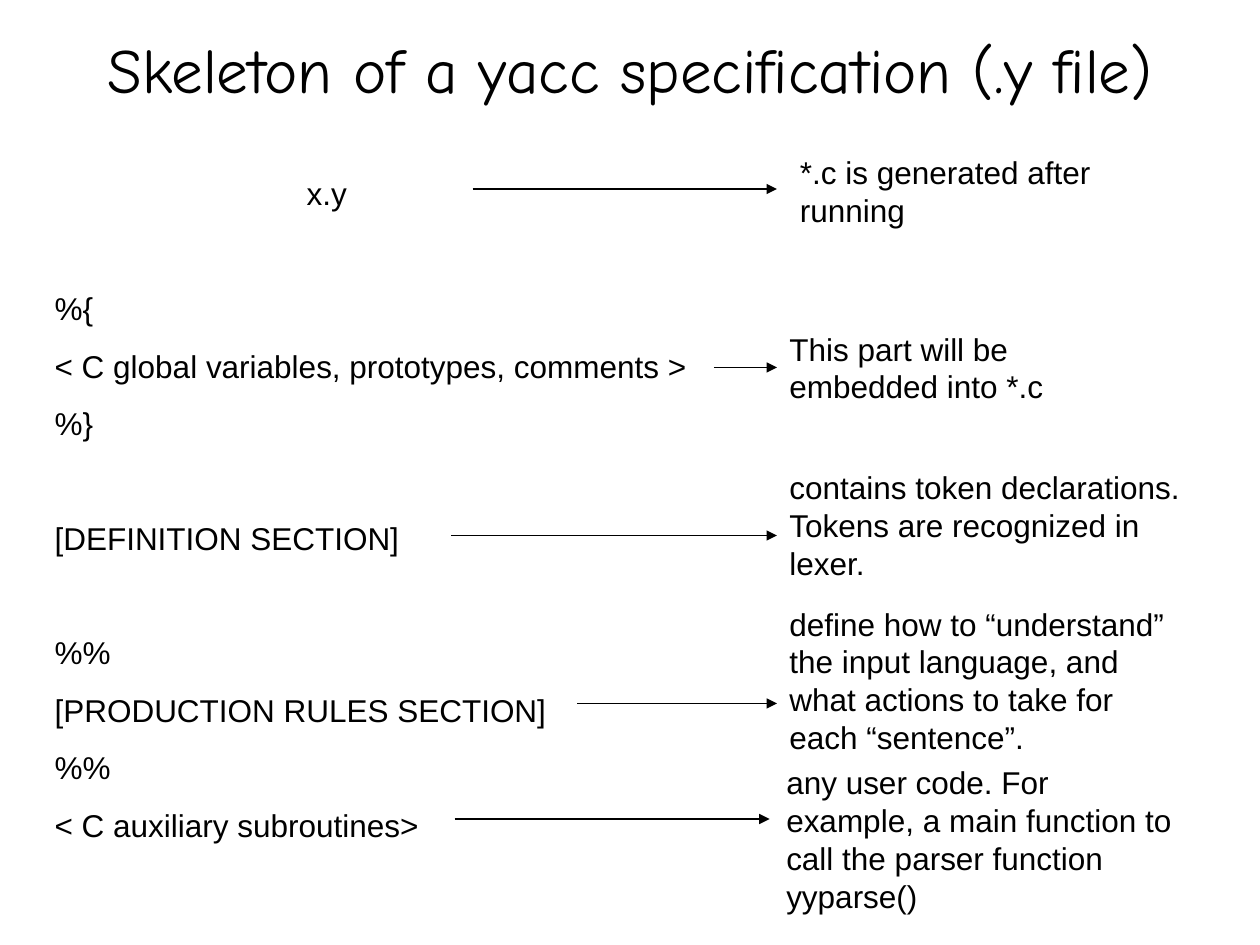
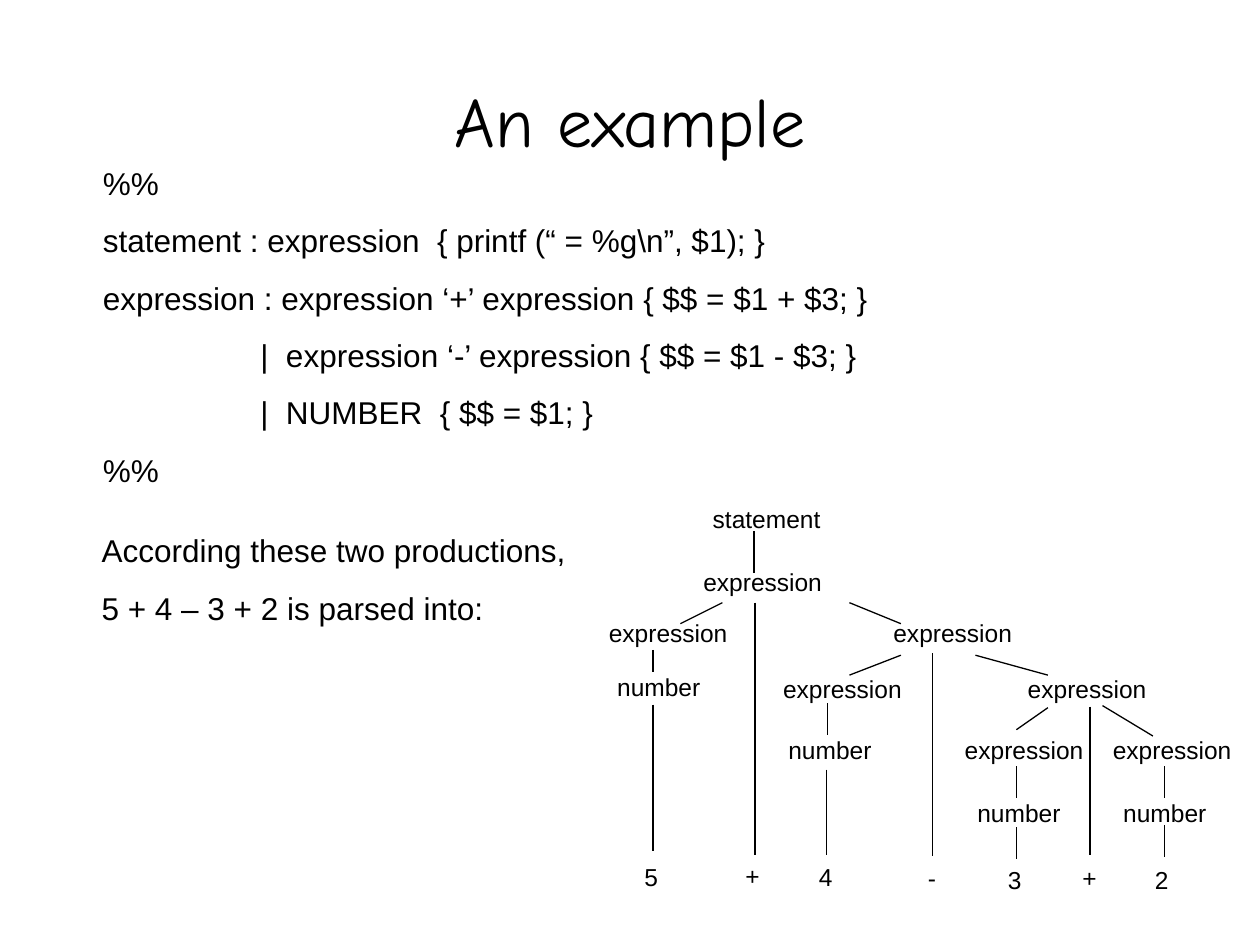
from typing import NamedTuple

from pptx import Presentation
from pptx.dml.color import RGBColor
from pptx.enum.shapes import MSO_CONNECTOR
from pptx.enum.text import MSO_ANCHOR, MSO_AUTO_SIZE, PP_ALIGN
from pptx.oxml.ns import qn
from pptx.util import Inches, Pt
from lxml import etree

BLACK = RGBColor(0x00, 0x00, 0x00)
WHITE = RGBColor(0xFF, 0xFF, 0xFF)
LINE = MSO_CONNECTOR.STRAIGHT
FIT = MSO_AUTO_SIZE.SHAPE_TO_FIT_TEXT
FIXED = MSO_AUTO_SIZE.NONE
MIDDLE = MSO_ANCHOR.MIDDLE
LEFT, CENTER = PP_ALIGN.LEFT, PP_ALIGN.CENTER
LEFT_SIDE = 1

WIDE, HIGH = Inches(10), Inches(7.5)
COLS, ROWS = 120, 90
BLANK = 44


class Box(NamedTuple):
    """A box in columns and rows of the grid."""
    left: float
    top: float
    cols: float
    rows: float


class Style(NamedTuple):
    """The look of a paragraph."""
    font: str
    size: float
    before: float
    align: PP_ALIGN = LEFT


class Item(NamedTuple):
    """A line of a list, with its own indent or gap above."""
    text: str
    indent: float = 0
    before: float | None = None


class Note(NamedTuple):
    """A remark and the arrow that leads to it."""
    text: str
    box: Box
    start: float
    tip: float
    row: float


class Node(NamedTuple):
    """A word of the parse tree."""
    text: str
    left: float
    top: float
    cols: float


class Edge(NamedTuple):
    """A line between two grid points."""
    left: float
    top: float
    right: float
    low: float


BODY = Style("Arial", 18, 11.2)
SMALL = Style("Arial", 14, 8.8)

PARTS = [
    Item("x.y", indent=24),
    Item("%{", before=BLANK),
    Item("< C global variables, prototypes, comments >"),
    Item("%}"),
    Item("[DEFINITION SECTION]", before=BLANK),
    Item("%%", before=BLANK),
    Item("[PRODUCTION RULES SECTION]"),
    Item("%%"),
    Item("< C auxiliary subroutines>"),
]
NOTES = [
    Note("*.c is generated after running", Box(75, 14, 38, 8.4), 45, 74, 18),
    Note("This part will be embedded into *.c",
         Box(74, 30.8, 38, 8.4), 68, 74, 35),
    Note("contains token declarations. Tokens are recognized in lexer.",
         Box(74, 44, 43, 12), 43, 74, 51),
    Note("define how to “understand” the input language, and what actions "
         "to take for each “sentence”.", Box(74, 57, 40, 15.6), 55, 74, 67),
    Note("any user code. For example, a main function to call the parser "
         "function yyparse()", Box(73.7, 72.1, 40, 15.6), 43.3, 73.3, 78),
]
RULES = [
    Item("%%"),
    Item("statement : expression  { printf (“ = %g\\n”, $1); }"),
    Item("expression : expression ‘+’ expression { $$ = $1 + $3; }"),
    Item("|  expression ‘-’ expression { $$ = $1 - $3; }", indent=15),
    Item("|  NUMBER  { $$ = $1; }", indent=15),
    Item("%%"),
]
CLAIM = [
    Item("According these two productions,"),
    Item("5 + 4 – 3 + 2 is parsed into:"),
]

EXPRS = [(56.8, 58.3), (83.9, 58.3), (73.4, 63.6), (96.7, 63.6),
         (90.7, 69.4), (104.8, 69.4)]
NUMS = [(57.6, 63.4), (73.9, 69.4), (91.9, 75.4), (105.8, 75.4)]
LEAVES = [("5", 60.2, 81.5), ("+", 69.8, 81.4), ("4", 76.8, 81.5),
          ("-", 87.2, 81.6), ("3", 94.8, 81.8), ("+", 101.9, 81.6),
          ("2", 108.8, 81.8)]
NODES = [
    Node("statement", 66.7, 47.4, 13),
    Node("expression", 65.8, 53.4, 15),
    *(Node("expression", left, top, 14) for left, top in EXPRS),
    *(Node("number", left, top, 11) for left, top in NUMS),
    *(Node(text, left, top, 4) for text, left, top in LEAVES),
]
NODE_ROWS = 4.1

DROPS = [
    (71.8, 50.6, 54.6), (71.9, 57.4, 81.4), (62.2, 61.9, 64),
    (62.2, 67.1, 81), (88.8, 62.2, 81.5), (78.8, 67, 70),
    (78.7, 73.3, 81.4), (103.8, 67.3, 81.4), (96.8, 73, 76),
    (110.9, 73, 76), (96.8, 78.8, 81.8), (110.9, 78.6, 81.6),
]
EDGES = [
    *(Edge(col, top, col, low) for col, top, low in DROPS),
    Edge(68.8, 57.4, 64.8, 59.4),
    Edge(80.9, 57.4, 85.8, 59.4),
    Edge(85.8, 62.4, 80.9, 64.3),
    Edge(92.9, 62.4, 99.8, 64.3),
    Edge(99.8, 67.4, 96.8, 69.5),
    Edge(105, 67.2, 109.8, 70.1),
]


def col(count: float) -> int:
    """Return the length of some columns."""
    return round(WIDE * count / COLS)


def row(count: float) -> int:
    """Return the length of some rows."""
    return round(HIGH * count / ROWS)


def place(shape, box: Box) -> None:
    """Move a shape to a box of the grid."""
    shape.left, shape.top = col(box.left), row(box.top)
    shape.width, shape.height = col(box.cols), row(box.rows)


def write(shape, items: list[Item], style: Style) -> None:
    """Fill a shape with plain paragraphs."""
    frame = shape.text_frame
    frame.word_wrap = True
    for index, item in enumerate(items):
        para = frame.add_paragraph() if index else frame.paragraphs[0]
        para.alignment = style.align
        before = style.before if item.before is None else item.before
        para.space_before = Pt(before)
        props = para._p.get_or_add_pPr()
        props.set("marL", str(col(item.indent)))
        props.set("indent", "0")
        etree.SubElement(props, qn("a:buNone"))
        run = para.add_run()
        run.text = item.text
        run.font.name = style.font
        run.font.size = Pt(style.size)
        run.font.color.rgb = BLACK


def label(shapes, items: list[Item], box: Box, style: Style):
    """Add a text box that grows with its text."""
    shape = shapes.add_textbox(0, 0, 0, 0)
    place(shape, box)
    write(shape, items, style)
    shape.text_frame.auto_size = FIT
    return shape


def link(shapes, edge: Edge, arrow: bool = False):
    """Add a thin black line, with an arrowhead if wanted."""
    line = shapes.add_connector(LINE, col(edge.left), row(edge.top),
                                col(edge.right), row(edge.low))
    line.line.color.rgb = BLACK
    line.line.width = Pt(0.75)
    if arrow:
        head = etree.SubElement(line.line._get_or_add_ln(), qn("a:tailEnd"))
        head.set("type", "triangle")
    etree.SubElement(line._element.spPr, qn("a:effectLst"))
    return line


def start(deck, title: str, size: float, head: Box,
          items: list[Item], body: Box):
    """Add a slide with its title and main list."""
    slide = deck.slides.add_slide(deck.slide_layouts[1])
    slide.background.fill.solid()
    slide.background.fill.fore_color.rgb = WHITE
    name, text = slide.shapes.title, slide.placeholders[1]
    place(name, head)
    write(name, [Item(title)], Style("Comic Neue", size, 0, CENTER))
    name.text_frame.vertical_anchor = MIDDLE
    name.text_frame.auto_size = FIXED
    place(text, body)
    write(text, items, BODY)
    text.text_frame.auto_size = FIT
    return slide


def skeleton(deck) -> None:
    """Build the slide on the parts of a file."""
    slide = start(deck, "Skeleton of a yacc specification (.y file)", 36,
                  Box(6, 2, 108, 9), PARTS, Box(4, 16, 63, 65))
    for note in NOTES:
        box = note.box
        shape = label(slide.shapes, [Item(note.text)], box, BODY)
        arrow = link(slide.shapes,
                     Edge(note.start, note.row, note.tip, note.row), True)
        middle = box.top + box.rows / 2
        if note.tip == box.left and abs(middle - note.row) < 0.1:
            arrow.end_connect(shape, LEFT_SIDE)


def example(deck) -> None:
    """Build the slide with the grammar and its tree."""
    slide = start(deck, "An example", 40, Box(9, 7, 102, 8.8),
                  RULES, Box(8.6, 15, 101, 32.2))
    label(slide.shapes, CLAIM, Box(8.5, 50, 47, 10.3), BODY)
    tree = slide.shapes.add_group_shape().shapes
    for node in NODES:
        box = Box(node.left, node.top, node.cols, NODE_ROWS)
        label(tree, [Item(node.text)], box, SMALL)
    for edge in EDGES:
        link(tree, edge)


def main() -> None:
    """Build and save the deck."""
    deck = Presentation()
    deck.slide_width, deck.slide_height = WIDE, HIGH
    skeleton(deck)
    example(deck)
    deck.save("out.pptx")


if __name__ == "__main__":
    main()
